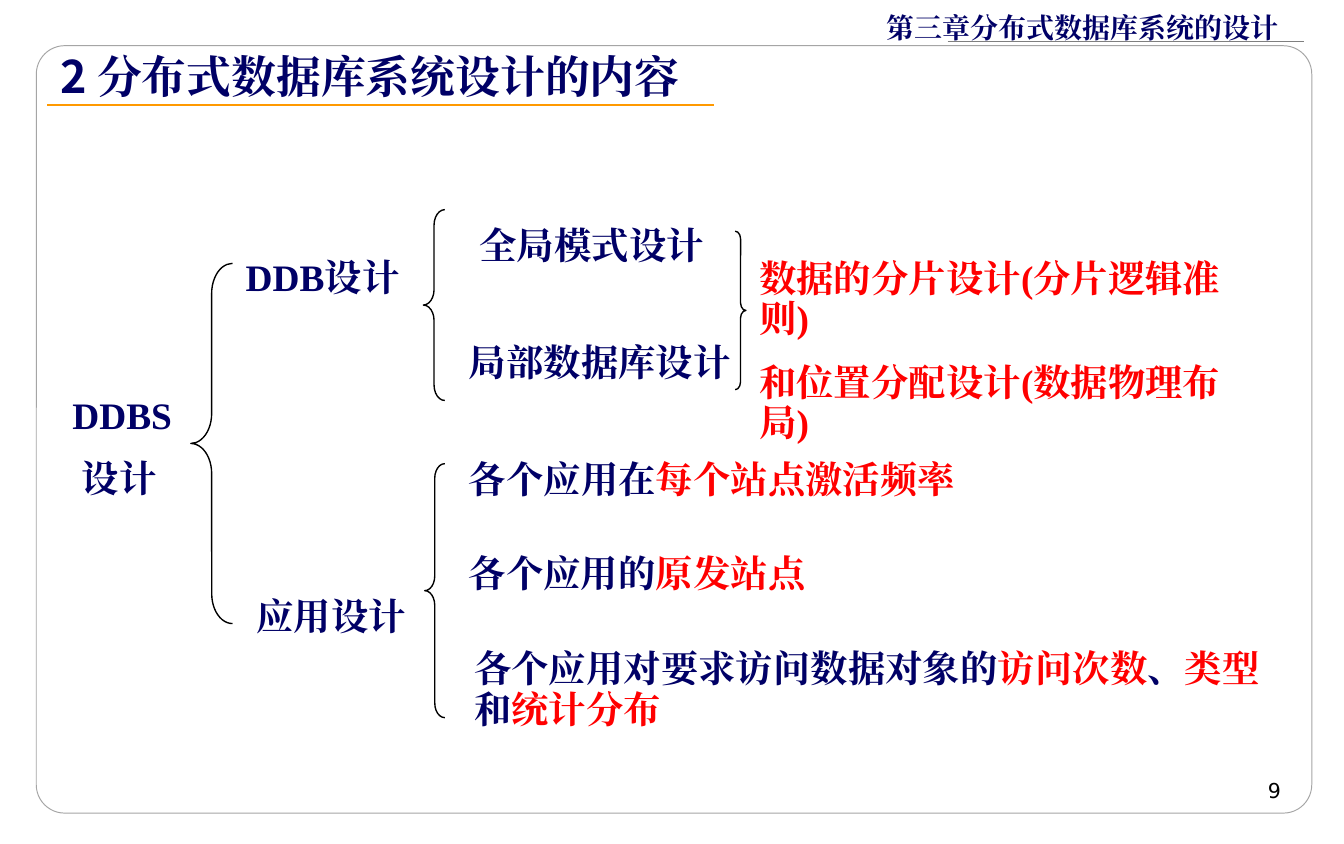
import pptx
import pptx.util
import pptx.dml.color
import pptx.enum.shapes
import pptx.enum.text
import pptx.oxml.ns
import lxml.etree

CELL = 0.1
COLUMNS, ROWS = 100, 62.8
NAVY, RED, BLACK = "000066", "FF0000", "000000"
SERIF, SANS = "Times New Roman", "Noto Sans CJK SC"
SHAPES = pptx.enum.shapes.MSO_SHAPE
ANCHOR = pptx.enum.text.MSO_ANCHOR
ALIGN = pptx.enum.text.PP_ALIGN
BODY = {"size": pptx.util.Pt(20), "bold": True, "name": SERIF}
SPACED = {"line_spacing": 0.9, "space_before": pptx.util.Pt(12.5)}


def cells(count):
    return pptx.util.Inches(count * CELL)


def within(box, left, top, width, height):
    return box[0] + left, box[1] + top, width, height


def colour(target, value):
    target.rgb = pptx.dml.color.RGBColor.from_string(value)


def apply(target, formats):
    for attribute, value in formats.items():
        setattr(target, attribute, value)


def write(frame, paragraphs, font, layout, anchor=ANCHOR.MIDDLE):
    apply(frame, {
        "word_wrap": True,
        "vertical_anchor": anchor,
        "auto_size": pptx.enum.text.MSO_AUTO_SIZE.NONE,
        "margin_left": cells(1), "margin_right": cells(1),
        "margin_top": cells(0.5), "margin_bottom": cells(0.5),
    })
    for index, pieces in enumerate(paragraphs):
        paragraph = frame.add_paragraph() if index else frame.paragraphs[0]
        apply(paragraph, layout)
        for words, tint in pieces:
            run = paragraph.add_run()
            run.text = words
            apply(run.font, font)
            colour(run.font.color, tint)
            east_asian = lxml.etree.SubElement(
                run.font._element, pptx.oxml.ns.qn("a:ea"))
            east_asian.set("typeface", SERIF)


def text(slide, box, paragraphs, font=BODY, layout=SPACED, anchor=ANCHOR.MIDDLE):
    label = slide.shapes.add_textbox(*map(cells, box))
    write(label.text_frame, paragraphs, font, layout, anchor)


def rule(slide, start, end, row, tint, weight):
    line = slide.shapes.add_connector(
        pptx.enum.shapes.MSO_CONNECTOR.STRAIGHT,
        cells(start), cells(row), cells(end), cells(row))
    colour(line.line.color, tint)
    line.line.width = pptx.util.Pt(weight)
    lxml.etree.SubElement(line._element.spPr, pptx.oxml.ns.qn("a:effectLst"))


def outline(slide, kind, box, tint, weight, adjustment):
    shape = slide.shapes.add_shape(kind, *map(cells, box))
    shape.shadow.inherit = False
    shape.fill.background()
    colour(shape.line.color, tint)
    shape.line.width = pptx.util.Pt(weight)
    shape.adjustments[0] = adjustment
    return shape


def brace(slide, box, kind=SHAPES.LEFT_BRACE):
    outline(slide, kind, box, BLACK, 0.75, 0.72)


def page_frame(slide, box):
    border = outline(slide, SHAPES.ROUNDED_RECTANGLE, box, "A5A5A5", 0.5, 0.037)
    border.fill.solid()
    colour(border.fill.fore_color, "FFFFFF")
    border.element.getparent().insert(2, border.element)
    text(slide, within(box, 62.3, -3.1, 31.5, 3.4),
         [[("第三章分布式数据库系统的设计", NAVY)]],
         {**BODY, "size": pptx.util.Pt(15)}, {})
    rule(slide, box[0] + 67.8, box[0] + 94.3, box[1] - 0.3, "7F7F7F", 0.75)
    text(slide, within(box, 68.6, 54, 25, 2.8), [[("9", BLACK)]],
         {"size": pptx.util.Pt(11), "name": "DejaVu Sans"},
         {"alignment": ALIGN.RIGHT}, ANCHOR.TOP)


def heading(slide, box):
    title = slide.shapes.title
    apply(title, dict(zip(("left", "top", "width", "height"), map(cells, box))))
    write(title.text_frame, [[("2 分布式数据库系统设计的内容", NAVY)]],
          {"size": pptx.util.Pt(24), "bold": True, "name": SANS},
          {"alignment": ALIGN.LEFT})
    rule(slide, box[0], box[0] + 49.6, box[1] + 4.7, "FF9900", 1)


def design_root(slide, box):
    text(slide, within(box, 0, 9.4, 15.3, 8.8),
         [[("DDBS", NAVY)], [(" 设计", NAVY)]])
    brace(slide, within(box, 9.8, 0, 3.1, 26.8))


def database_branch(slide, box):
    text(slide, within(box, 0, 3.2, 18.1, 4), [[("DDB设计", NAVY)]])
    brace(slide, within(box, 14.2, 0, 1.6, 14.2))
    text(slide, within(box, 17.4, 0.8, 21.3, 4), [[("全局模式设计", NAVY)]])
    text(slide, within(box, 16.6, 9.5, 22.8, 4), [[("局部数据库设计", NAVY)]])
    brace(slide, within(box, 37.4, 1.6, 0.8, 11.8), SHAPES.RIGHT_BRACE)
    text(slide, within(box, 38.2, 3.2, 39.8, 14.8),
         [[("数据的分片设计(分片逻辑准则)", RED)],
          [("和位置分配设计(数据物理布局)", RED)]])


def application_branch(slide, box):
    text(slide, within(box, 0.8, 9.5, 15, 4), [[("应用设计", NAVY)]])
    brace(slide, within(box, 14.3, 0, 1.5, 18.9))
    concerns = [
        (16.6, 47.2, 4, [("各个应用在", NAVY), ("每个站点激活频率", RED)]),
        (16.6, 39.4, 4, [("各个应用的", NAVY), ("原发站点", RED)]),
        (17, 62, 7, [("各个应用对要求访问数据对象的", NAVY), ("访问次数", RED),
                     ("、", NAVY), ("类型", RED), ("和", NAVY),
                     ("统计分布", RED)]),
    ]
    for index, (left, width, height, pieces) in enumerate(concerns):
        text(slide, within(box, left, 7.05 * index - 0.7, width, height), [pieces])


def main():
    deck = pptx.Presentation()
    deck.slide_width, deck.slide_height = cells(COLUMNS), cells(ROWS)
    slide = deck.slides.add_slide(deck.slide_layouts[5])
    page_frame(slide, (2.7, 3.4, 94.9, 57.1))
    heading(slide, (3.5, 3.1, 50, 5))
    design_root(slide, (4.4, 19.6, 12.9, 26.8))
    database_branch(slide, (17.3, 15.6, 78, 18))
    application_branch(slide, (17.3, 34.5, 79, 18.9))
    deck.save("out.pptx")


if __name__ == "__main__":
    main()
